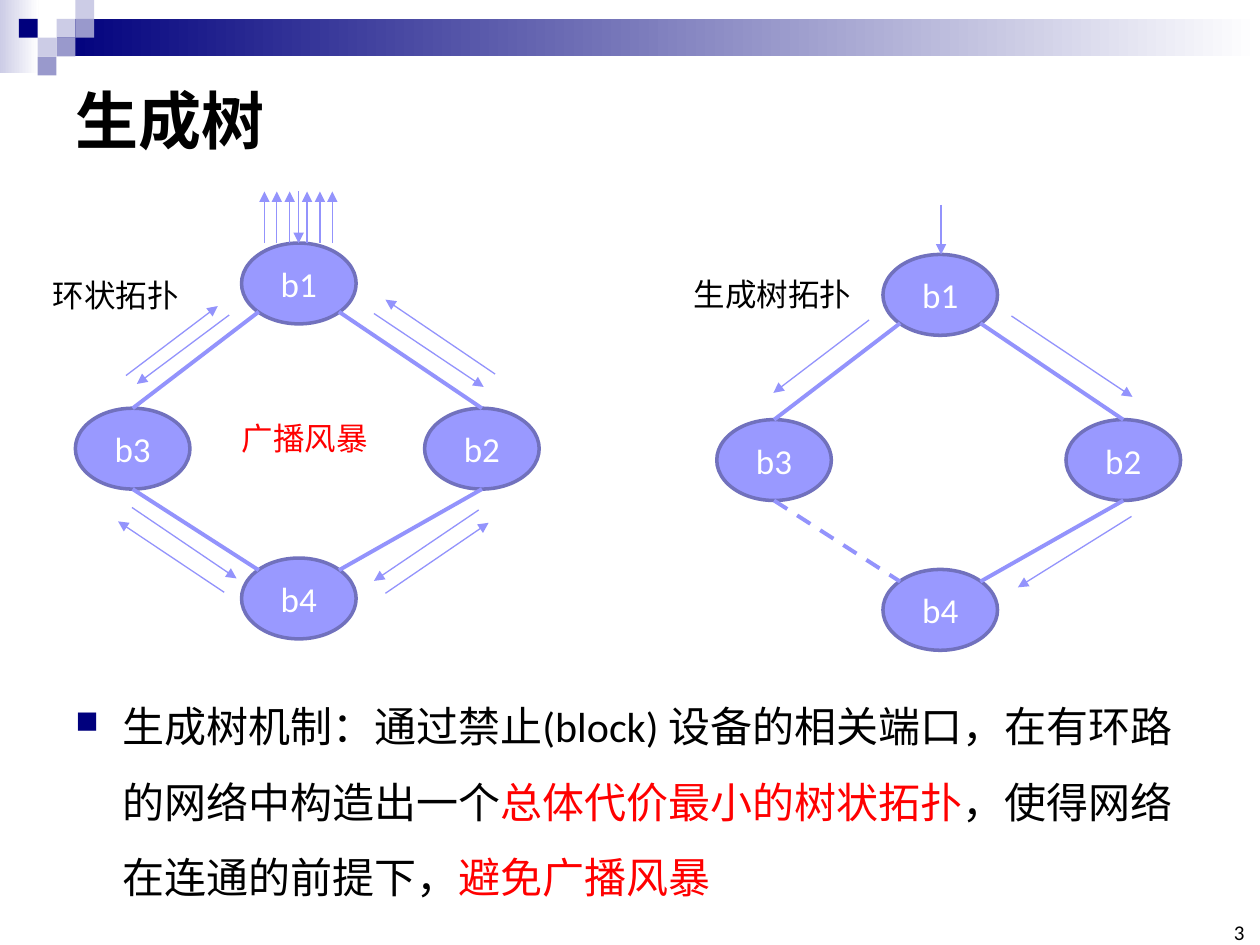
from dataclasses import dataclass

from lxml import etree
from pptx import Presentation
from pptx.dml.color import RGBColor
from pptx.enum import dml, shapes, text
from pptx.oxml import ns
from pptx.util import Cm, Pt


@dataclass(frozen=True)
class Theme:
    font: str = "Calibri"
    black: str = "000000"
    white: str = "FFFFFF"
    red: str = "FF0000"
    navy: str = "00007D"
    pale: str = "CCCCE6"
    mauve: str = "9999CC"
    node: str = "9999FF"
    node_line: str = "7171BD"
    link: str = "9393FC"
    title: int = 36
    body: int = 24
    node_text: int = 20
    label: int = 18
    number: int = 12


T = Theme()
NODE_W, NODE_H = 2.31, 1.63
NODES = {"b1": (3.35, 0), "b3": (0, 3.33), "b2": (7.04, 3.33), "b4": (3.35, 6.35)}
# Points on a node's outline, as fractions of its width and height
TOP, BOTTOM = (0.5, 0), (0.5, 1)
TOP_LEFT, TOP_RIGHT = (0.15, 0.15), (0.85, 0.15)
LOW_LEFT, LOW_RIGHT = (0.15, 0.85), (0.85, 0.85)
LINKS = [("b1", LOW_LEFT, "b3", TOP), ("b1", LOW_RIGHT, "b2", TOP),
         ("b3", BOTTOM, "b4", TOP_LEFT), ("b2", BOTTOM, "b4", TOP_RIGHT)]

# Arrows run from (x1, y1) to (x2, y2), relative to the topology's box
RING_ARROWS = [
    (1.02, 2.67, 2.87, 1.27), (3.1, 1.45, 1.24, 2.84),
    (6.02, 1.42, 8.23, 2.9), (8.46, 2.64, 6.25, 1.14),
    (1.14, 5.33, 3.25, 6.76), (3, 7.04, 0.86, 5.61),
    (8.13, 5.38, 6.02, 6.81), (6.25, 7.06, 8.33, 5.64),
    (4.5, -1.04, 4.5, 0),
] + [(x, 0, x, -1.04) for x in (3.81, 4.06, 4.32, 4.67, 4.93, 5.18)]
TREE_ARROWS = [(4.52, -1, 4.52, 0), (3.07, 1.32, 1.14, 2.79),
               (5.94, 1.24, 8.38, 2.87), (8.36, 5.28, 6.07, 6.71)]


def rgb(value):
    return RGBColor.from_string(value)


def add_runs(p, runs, size, bold=False):
    for words, color in runs:
        r = p.add_run()
        r.text = words
        for name, value in dict(name=T.font, size=Pt(size), bold=bold).items():
            setattr(r.font, name, value)
        r.font.color.rgb = rgb(color)


def add_text(s, box, runs, size, bold=False, **frame):
    """Add a text box; frame holds text frame settings. Return its paragraph."""
    tf = s.shapes.add_textbox(*map(Cm, box)).text_frame
    for name, value in frame.items():
        setattr(tf, name, value)
    add_runs(tf.paragraphs[0], runs, size, bold)
    return tf.paragraphs[0]


def add_line(s, x1, y1, x2, y2, width, dashed=False, arrow=False):
    line = s.shapes.add_connector(shapes.MSO_CONNECTOR.STRAIGHT,
                                  *map(Cm, (x1, y1, x2, y2)))
    line.line.color.rgb = rgb(T.link)
    line.line.width = Pt(width)
    if dashed:
        line.line.dash_style = dml.MSO_LINE.DASH
    if arrow:
        etree.SubElement(line.line._get_or_add_ln(), ns.qn("a:tailEnd"), type="triangle")
    etree.SubElement(line._element.spPr, ns.qn("a:effectLst"))
    return line


def add_node(s, x, y, name):
    sp = s.shapes.add_shape(shapes.MSO_SHAPE.OVAL, *map(Cm, (x, y, NODE_W, NODE_H)))
    sp.shadow.inherit = False
    sp.fill.solid()
    sp.fill.fore_color.rgb = rgb(T.node)
    sp.line.color.rgb = rgb(T.node_line)
    sp.line.width = Pt(2)
    tf = sp.text_frame
    tf.vertical_anchor = text.MSO_ANCHOR.MIDDLE
    tf.paragraphs[0].alignment = text.PP_ALIGN.CENTER
    add_runs(tf.paragraphs[0], [(name, T.white)], T.node_text)
    return sp


def add_topology(s, left, top, arrows, labels, blocked=()):
    """Draw the four bridges; links named in blocked are dashed."""
    ovals = {name: add_node(s, left + x, top + y, name)
             for name, (x, y) in NODES.items()}

    def point(name, site):
        x, y = NODES[name]
        return left + x + site[0] * NODE_W, top + y + site[1] * NODE_H

    for a, a_site, b, b_site in LINKS:
        line = add_line(s, *point(a, a_site), *point(b, b_site), 2.25,
                        dashed=(a, b) in blocked)
        if b_site == TOP:
            line.end_connect(ovals[b], 0)
    for x1, y1, x2, y2 in arrows:
        add_line(s, left + x1, top + y1, left + x2, top + y2, 0.75, arrow=True)
    for words, color, x, y, width in labels:
        add_text(s, (left + x, top + y, width, 1.02), [(words, color)], T.label,
                 word_wrap=False)


def add_header(s, left, top, width):
    """Draw the gradient bands and the squares on a grid of one unit."""
    unit = 0.38

    def add_block(x, y, w, h, color, fade=False):
        sp = s.shapes.add_shape(shapes.MSO_SHAPE.RECTANGLE,
                                *map(Cm, (left + x, top + y, w, h)))
        sp.shadow.inherit = False
        sp.line.fill.background()
        if fade:
            sp.fill.gradient()
            sp.fill.gradient_angle = 0
            for stop, value in zip(sp.fill.gradient_stops, (color, T.white)):
                stop.color.rgb = rgb(value)
        else:
            sp.fill.solid()
            sp.fill.fore_color.rgb = rgb(color)

    add_block(0, 0, 0.78, 1.48, T.pale, fade=True)
    add_block(3 * unit, unit, width - 3 * unit, 2 * unit, T.navy, fade=True)
    for col, row, color in [(3, 1, T.pale), (4, 0, T.pale), (4, 1, T.mauve),
                            (2, 2, T.pale), (1, 1, T.navy), (3, 2, T.mauve),
                            (2, 3, T.mauve)]:
        add_block(col * unit, row * unit, unit, unit, color)


def add_body(s, box, runs):
    p = add_text(s, box, runs, T.body, word_wrap=True)
    p.line_spacing = 1.5
    pPr = p._p.get_or_add_pPr()
    pPr.set("marL", str(Cm(0.95)))
    pPr.set("indent", str(Cm(-0.95)))
    color = etree.SubElement(pPr, ns.qn("a:buClr"))
    etree.SubElement(color, ns.qn("a:srgbClr"), val=T.navy)
    etree.SubElement(pPr, ns.qn("a:buSzPct"), val="75000")
    etree.SubElement(pPr, ns.qn("a:buChar"), char="■")


def main():
    prs = Presentation()
    prs.slide_width, prs.slide_height = Cm(25.4), Cm(19.05)
    s = prs.slides.add_slide(prs.slide_layouts[6])
    add_header(s, 0, 0, 25.4)
    add_text(s, (1.27, 1.27, 22.86, 2.26), [("生成树", T.black)], T.title, bold=True,
             word_wrap=True, vertical_anchor=text.MSO_ANCHOR.MIDDLE)
    add_topology(s, 1.52, 4.9, RING_ARROWS,
                 [("环状拓扑", T.black, -0.71, 0.53, 3.07),
                  ("广播风暴", T.red, 3.1, 3.43, 3.07)])
    add_topology(s, 14.45, 5.13, TREE_ARROWS,
                 [("生成树拓扑", T.black, -0.71, 0.28, 3.71)], blocked={("b3", "b4")})
    add_body(s, (1.27, 13.49, 22.86, 4.52), [
        ("生成树机制：通过禁止(block) 设备的相关端口，在有环路的网络中构造出一个", T.black),
        ("总体代价最小的树状拓扑", T.red),
        ("，使得网络在连通的前提下，", T.black),
        ("避免广播风暴", T.red)])
    p = add_text(s, (24.51, 18.62, 0.58, 0.43), [("3", T.black)], T.number,
                 margin_left=0, margin_right=0, margin_top=0, margin_bottom=0,
                 word_wrap=True, vertical_anchor=text.MSO_ANCHOR.BOTTOM)
    p.alignment = text.PP_ALIGN.RIGHT
    prs.save("out.pptx")


if __name__ == "__main__":
    main()
